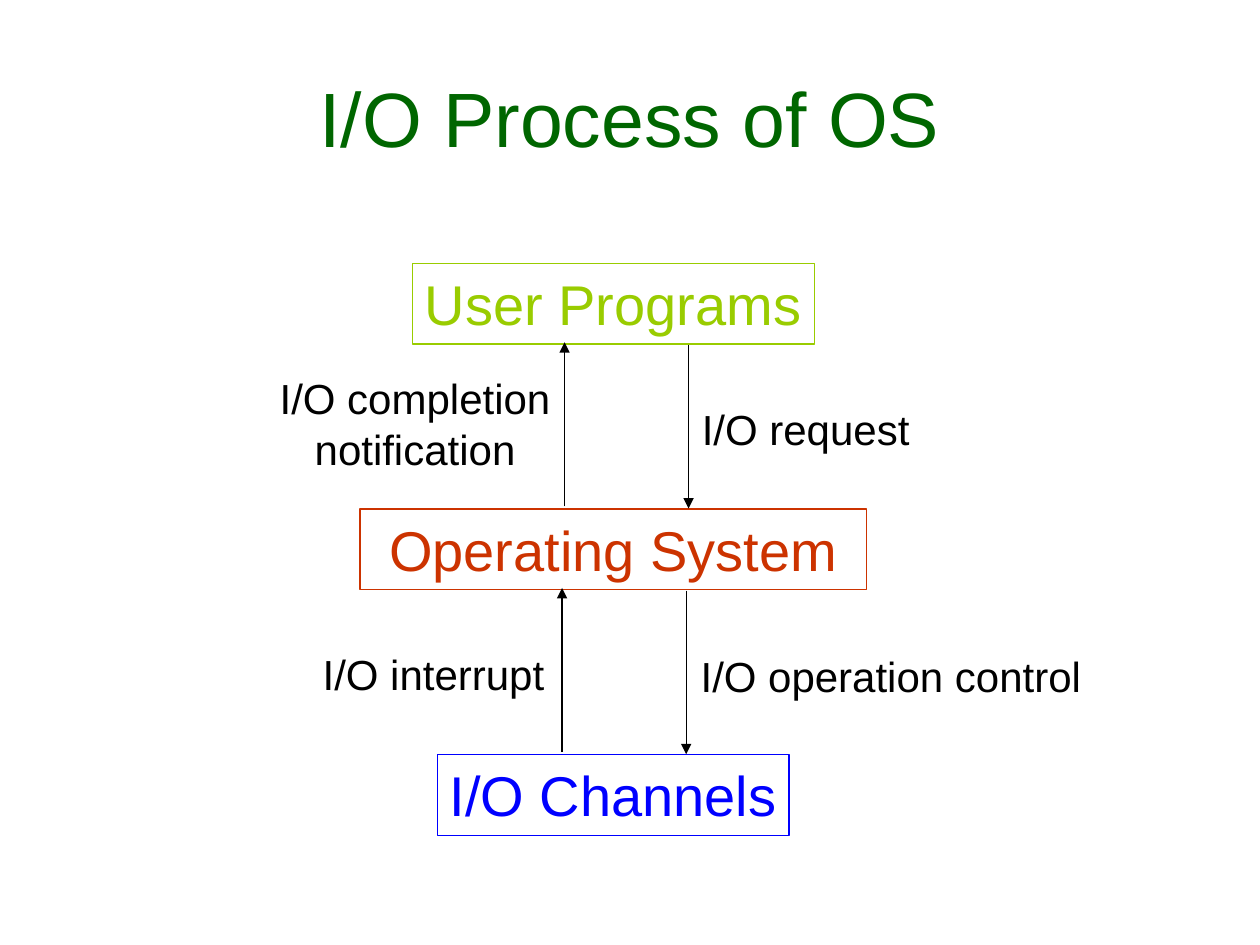
from lxml import etree
from pptx import Presentation
from pptx.dml.color import RGBColor
from pptx.enum.shapes import MSO_CONNECTOR, MSO_SHAPE
from pptx.enum.text import MSO_ANCHOR, PP_ALIGN
from pptx.oxml.ns import qn
from pptx.util import Pt

RECT = MSO_SHAPE.RECTANGLE
LINE = MSO_CONNECTOR.STRAIGHT
CENTER = PP_ALIGN.CENTER
TOP, MIDDLE = MSO_ANCHOR.TOP, MSO_ANCHOR.MIDDLE

GREEN = RGBColor(0x00, 0x66, 0x00)
LIME = RGBColor(0x99, 0xCC, 0x00)
RUST = RGBColor(0xCC, 0x33, 0x00)
BLUE = RGBColor(0x00, 0x00, 0xFF)
BLACK = RGBColor(0x00, 0x00, 0x00)

MID = 350.5     # centre line of the layers
HIGH = 46.1     # height of a layer
STEP = 140.4    # from one layer to the next
FIRST = 150.5   # top of the first layer

LAYERS = [
    ("User Programs", 229.7, LIME),
    ("Operating System", 289.4, RUST),
    ("I/O Channels", 200.9, BLUE),
]
# Each link: left of its up arrow, then the labels to its left and right
# as text, offset from the up arrow and the gap's top, width and height
LINKS = [
    (322.6, [("I/O completion\nnotification", -170, 13, 169.2, 64.8),
             ("I/O request", 71.2, 30.2, 133.2, 36)]),
    (321.2, [("I/O interrupt", -144, 30.2, 141.1, 36),
             ("I/O operation control", 72, 30.9, 231.8, 36)]),
]


def write(shape, text, size, color, anchor=TOP, wrap=False):
    frame = shape.text_frame
    frame.text = text
    frame.word_wrap = wrap
    frame.vertical_anchor = anchor
    for para in frame.paragraphs:
        para.alignment = CENTER
        para.font.name = "Arial"
        para.font.size = Pt(size)
        para.font.color.rgb = color


def add_text(slide, box, text, size, color, anchor=TOP, wrap=False):
    shape = slide.shapes.add_textbox(*map(Pt, box))
    write(shape, text, size, color, anchor, wrap)


def add_layer(slide, box, text, color):
    shape = slide.shapes.add_shape(RECT, *map(Pt, box))
    shape.shadow.inherit = False
    shape.fill.background()
    shape.line.color.rgb = color
    shape.line.width = Pt(0.75)
    write(shape, text, 32, color)


def add_arrow(slide, x, start, end):
    line = slide.shapes.add_connector(LINE, Pt(x), Pt(start), Pt(x), Pt(end))
    line.line.color.rgb = BLACK
    line.line.width = Pt(0.75)
    props = line.line._get_or_add_ln()
    etree.SubElement(props, qn("a:tailEnd"), type="triangle")
    etree.SubElement(props.getparent(), qn("a:effectLst"))


def add_link(slide, left, top, high, labels):
    """Up and down arrows across a gap, with a label on each side."""
    add_arrow(slide, left, top + high - 1.5, top - 1)
    add_arrow(slide, left + 70.9, top + 0.5, top + high - 0.3)
    for text, dx, dy, wide, tall in labels:
        add_text(slide, (left + dx, top + dy, wide, tall), text, 24, BLACK)


def add_stack(slide, mid, top):
    # Layers
    for i, (text, wide, color) in enumerate(LAYERS):
        box = (mid - wide / 2, top + i * STEP, wide, HIGH)
        add_layer(slide, box, text, color)
    # Links in the gaps
    for i, (left, labels) in enumerate(LINKS):
        add_link(slide, left, top + i * STEP + HIGH, STEP - HIGH, labels)


def main():
    deck = Presentation()
    deck.slide_width, deck.slide_height = Pt(720), Pt(540)
    slide = deck.slides.add_slide(deck.slide_layouts[6])
    # Title
    add_text(slide, (36, 21.6, 648, 90), "I/O Process of OS", 44, GREEN,
             MIDDLE, True)
    add_stack(slide, MID, FIRST)
    deck.save("out.pptx")


if __name__ == "__main__":
    main()
